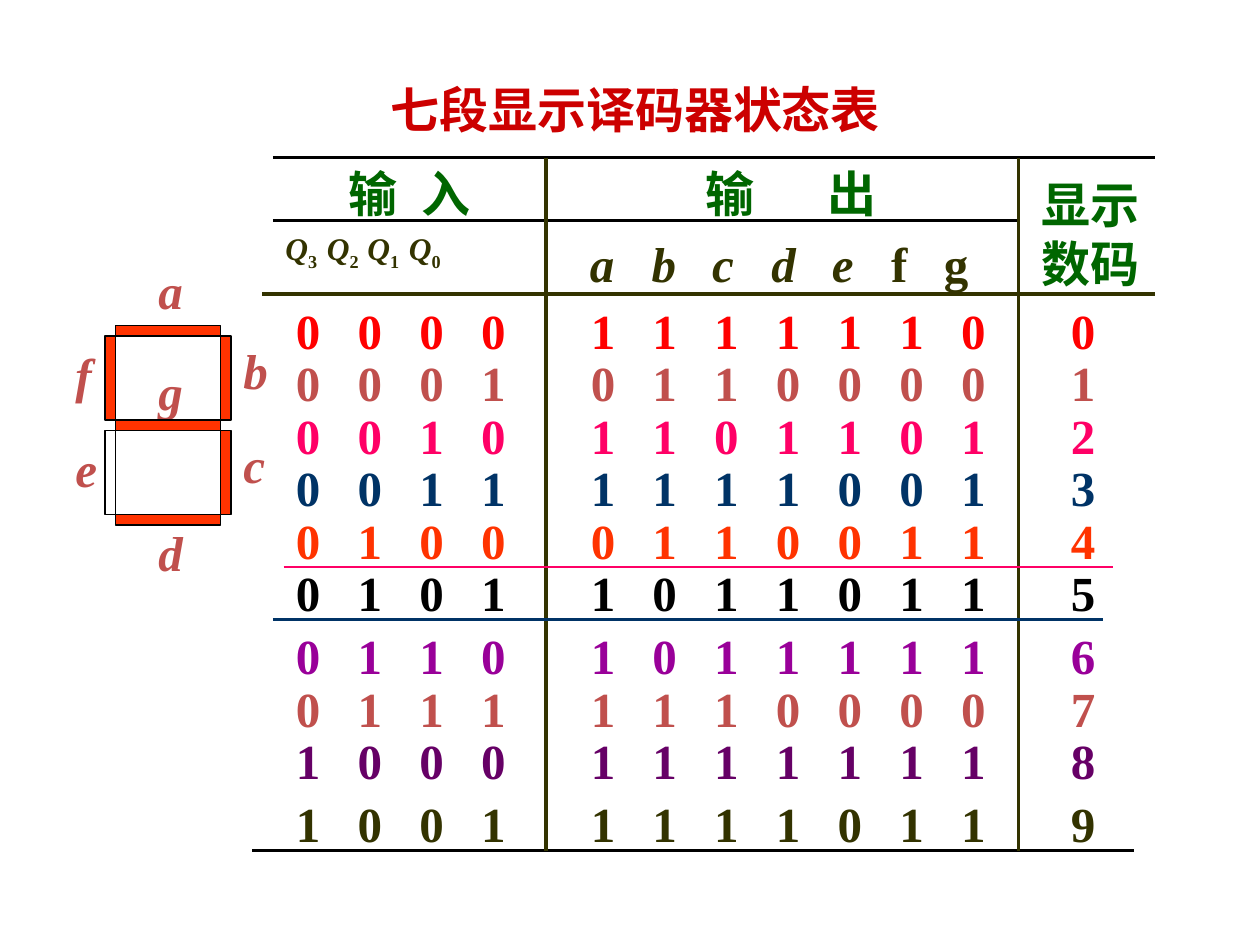
from dataclasses import dataclass

from lxml import etree
from pptx import Presentation
from pptx.dml.color import RGBColor
from pptx.enum.shapes import MSO_CONNECTOR, MSO_SHAPE
from pptx.enum.text import MSO_ANCHOR, MSO_AUTO_SIZE, PP_ALIGN
from pptx.oxml.ns import qn
from pptx.util import Inches, Pt

STRAIGHT = MSO_CONNECTOR.STRAIGHT
RECT = MSO_SHAPE.RECTANGLE
TOP = MSO_ANCHOR.TOP
NO_FIT = MSO_AUTO_SIZE.NONE
LEFT = PP_ALIGN.LEFT
TITLE_ONLY = 5
COLS, ROWS = 120, 90


@dataclass(frozen=True)
class Theme:
    """Colours, font and type sizes of the slide."""
    font: str = "Times New Roman"
    body: int = 28
    small: int = 18
    title: str = "CC0000"
    head: str = "006600"
    olive: str = "333300"
    label: str = "C0504D"
    ink: str = "000000"
    lit: str = "FF3300"
    unlit: str = "FFFFFF"
    navy: str = "003366"
    pink: str = "FF0066"
    digits: tuple = ("FF0000", "C0504D", "FF0066", "003366", "FF3300",
                     "000000", "990099", "C0504D", "660066", "333300")


class Board:
    """Draws elements on the current slide, in grid columns and rows."""

    def __init__(self, prs, theme):
        self.theme = theme
        self.slide = prs.slides.add_slide(prs.slide_layouts[TITLE_ONLY])
        self.cw = prs.slide_width / COLS
        self.rh = prs.slide_height / ROWS

    def box(self, x, y, w, h):
        """Turns grid units into lengths."""
        return (round(x * self.cw), round(y * self.rh),
                round(w * self.cw), round(h * self.rh))

    def fill_frame(self, tf, runs, color, size=None, italic=None, tabs=()):
        """Fills a frame with one paragraph of (text, italic, baseline) runs."""
        tf.word_wrap = True
        tf.auto_size = NO_FIT
        tf.vertical_anchor = TOP
        p = tf.paragraphs[0]
        p.alignment = LEFT
        p.space_before = Pt(0)
        if tabs:
            tab_list = etree.SubElement(p._p.get_or_add_pPr(), qn("a:tabLst"))
            for pos in tabs:
                etree.SubElement(tab_list, qn("a:tab"), pos=str(Inches(pos)), algn="l")
        p.font.name = self.theme.font
        p.font.size = Pt(size or self.theme.body)
        p.font.bold = True
        p.font.italic = italic
        p.font.color.rgb = RGBColor.from_string(color)
        for text, slant, baseline in runs:
            r = p.add_run()
            r.text = text
            if slant is not None:
                r.font.italic = slant
            if baseline:
                r._r.get_or_add_rPr().set("baseline", str(baseline))

    def title(self, text, x, y, w, h):
        """Moves and fills the title placeholder."""
        sp = self.slide.shapes.title
        sp.left, sp.top, sp.width, sp.height = self.box(x, y, w, h)
        self.fill_frame(sp.text_frame, [(text, None, 0)], self.theme.title)

    def text(self, content, x, y, w, color, h=6.8, **style):
        """Adds a text box from a string or a list of runs."""
        runs = [(content, None, 0)] if isinstance(content, str) else content
        sp = self.slide.shapes.add_textbox(*self.box(x, y, w, h))
        self.fill_frame(sp.text_frame, runs, color, **style)

    def segment(self, x, y, w, h, lit):
        """Adds one bar of the seven-segment digit."""
        sp = self.slide.shapes.add_shape(RECT, *self.box(x, y, w, h))
        sp.shadow.inherit = False
        sp.fill.solid()
        sp.fill.fore_color.rgb = RGBColor.from_string(
            self.theme.lit if lit else self.theme.unlit)
        sp.line.color.rgb = RGBColor.from_string(self.theme.ink)
        sp.line.width = Pt(0.75)

    def rule(self, x1, y1, x2, y2, color, width=2.25):
        """Adds a straight line."""
        ends = self.box(x1, y1, x2, y2)
        line = self.slide.shapes.add_connector(STRAIGHT, *ends)
        line.line.color.rgb = RGBColor.from_string(color)
        line.line.width = Pt(width)
        etree.SubElement(line._element.spPr, qn("a:effectLst"))


OUTPUTS = ("1111110", "0110000", "1101101", "1111001", "0110011",
           "1011011", "1011111", "1110000", "1111111", "1111011")
ROW_TOPS = (28, 33, 38, 43, 48, 53, 59, 64, 69, 75)
PITCH, GROUP_GAP = 0.49, 0.87
OUTPUT_START = 3 * PITCH + GROUP_GAP
DIGIT_TABS = ([i * PITCH for i in range(1, 4)]
              + [OUTPUT_START + i * PITCH for i in range(7)]
              + [OUTPUT_START + 6 * PITCH + GROUP_GAP])
LABELS = {"a": (13.9, 24.2), "b": (22, 31.8), "c": (22, 40.8), "d": (13.9, 49.2),
          "e": (6, 41.2), "f": (6, 32.2), "g": (13.9, 33.8)}
SEGMENTS = {"a": (11, 31, 10, 1), "b": (21, 32, 1, 8), "c": (21, 41, 1, 8),
            "d": (11, 49, 10, 1), "e": (10, 41, 1, 8), "f": (10, 32, 1, 8),
            "g": (11, 40, 10, 1)}


def draw_digit(board):
    """Draws the seven-segment digit showing a nine."""
    for name, (x, y) in LABELS.items():
        board.text(name, x, y, 5, board.theme.label, italic=True)
    for bar, state in zip(SEGMENTS.values(), OUTPUTS[9]):
        board.segment(*bar, lit=state == "1")


def draw_rules(board):
    """Draws the lines of the state table."""
    t = board.theme
    for x1, x2, y, color in ((25, 110, 28, t.olive), (26, 97, 21, t.ink),
                             (26, 110, 15, t.ink), (24, 108, 81, t.ink)):
        board.rule(x1, y, x2, y, color)
    for x in (52, 97):
        board.rule(x, 15, x, 81, t.olive)
    board.rule(27, 54, 106, 54, t.pink, 1.5)
    board.rule(26, 59, 105, 59, t.navy, 1.5)


def draw_heads(board):
    """Writes the column heads."""
    t = board.theme
    board.text("输\t入", 32, 15, 16, t.head, tabs=[0.58])
    board.text("输\t出", 66, 15, 20, t.head, tabs=[0.97])
    board.text("显示数码", 98, 16, 15, t.head, h=12.4)
    inputs = []
    for i in (3, 2, 1, 0):
        inputs += [("Q", True, 0), (f"{i}\t" if i else "0", False, -25000)]
    board.text(inputs, 26, 21.2, 26, t.olive, h=4.7, size=t.small,
               tabs=[0.33, 0.65, 0.98])
    board.text([("a\tb\tc\td\te", True, 0), ("\tf\tg", False, 0)],
               55, 21.6, 40, t.olive, tabs=[0.49, 0.97, 1.44, 1.92, 2.39, 2.81])


def draw_states(board):
    """Writes one line of inputs, outputs and shown digit per state."""
    for n, (top, outputs) in enumerate(zip(ROW_TOPS, OUTPUTS)):
        board.text("\t".join(f"{n:04b}{outputs}{n}"), 27, top, 81,
                   board.theme.digits[n], tabs=DIGIT_TABS)


def main():
    """Builds and saves the slide."""
    prs = Presentation()
    prs.slide_width, prs.slide_height = Inches(10), Inches(7.5)
    board = Board(prs, Theme())
    board.title("七段显示译码器状态表", 36, 7, 52, 6.8)
    draw_digit(board)
    draw_rules(board)
    draw_heads(board)
    draw_states(board)
    prs.save("out.pptx")


if __name__ == "__main__":
    main()
